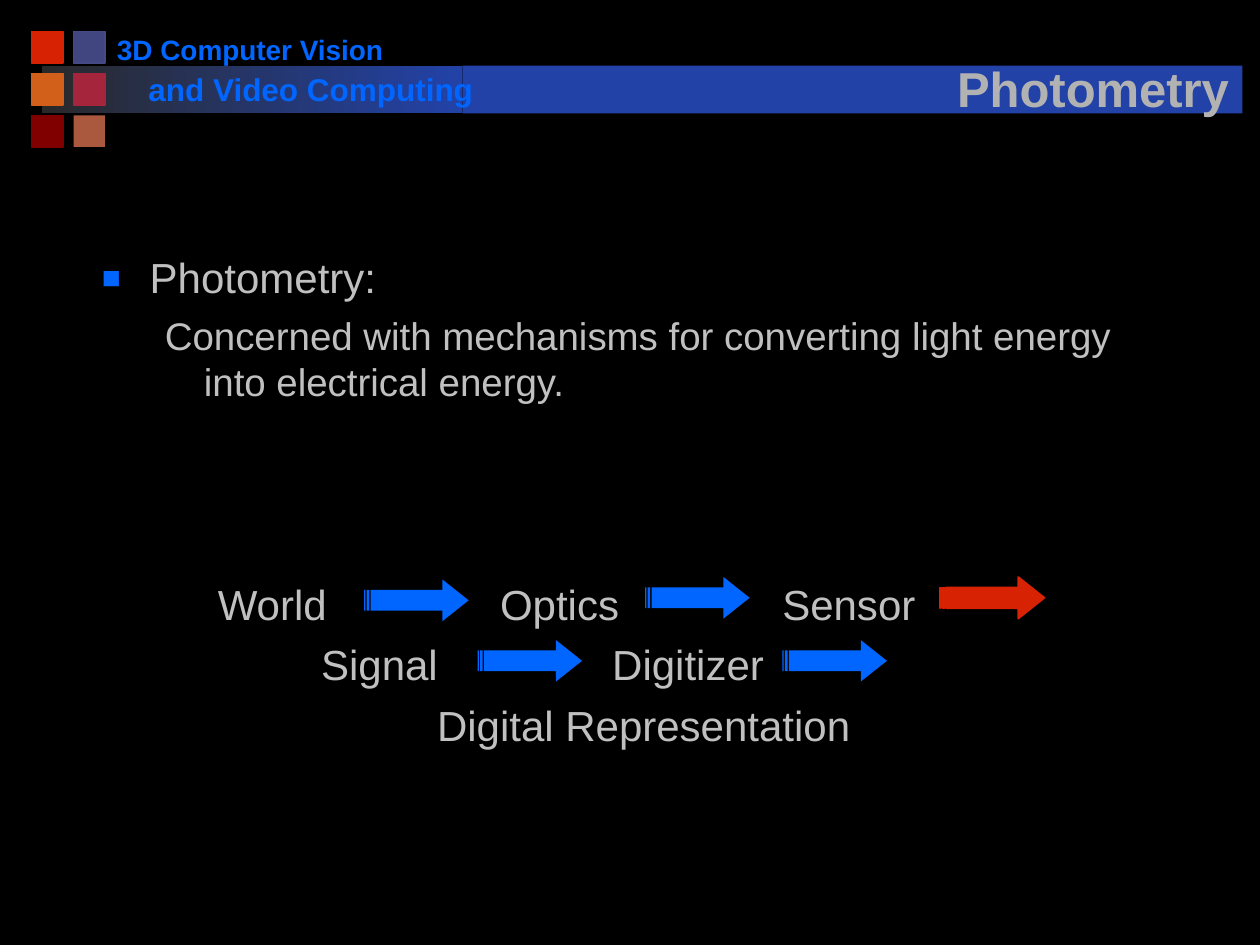
"""Build the Photometry slide: course header, definition and the imaging pipeline."""
from dataclasses import dataclass

import pptx
import pptx.dml.color
import pptx.enum.shapes
import pptx.enum.text
import pptx.oxml
import pptx.oxml.ns
import pptx.util
from pptx.dml.color import RGBColor
from pptx.util import Inches, Pt

BLACK = RGBColor(0x00, 0x00, 0x00)
CHARCOAL = RGBColor(0x29, 0x29, 0x29)
BAND_BLUE = RGBColor(0x22, 0x42, 0xA8)
BRIGHT_BLUE = RGBColor(0x00, 0x66, 0xFF)
SIGNAL_RED = RGBColor(0xD8, 0x22, 0x04)
ORANGE = RGBColor(0xD2, 0x60, 0x1A)
MAROON = RGBColor(0x80, 0x00, 0x00)
INDIGO = RGBColor(0x42, 0x46, 0x80)
INDIGO_EDGE = RGBColor(0x45, 0x4A, 0x85)
CRIMSON = RGBColor(0xA5, 0x25, 0x3D)
CLAY = RGBColor(0xAA, 0x58, 0x3E)
TITLE_GRAY = RGBColor(0xB2, 0xB2, 0xB2)
TEXT_GRAY = RGBColor(0xC0, 0xC0, 0xC0)
FONT = "Arial"
NS = pptx.oxml.ns.nsdecls("a")
PIPELINE_LEFT = 1.54
INSET = 0.1


@dataclass
class Tile:
    column: int
    row: int
    fill: RGBColor
    edge: RGBColor | None


@dataclass
class Arrow:
    left: float
    top: float
    color: RGBColor
    outlined: bool = False


@dataclass
class Stage:
    label: str
    left: float


TILES = [
    Tile(1, 0, INDIGO, INDIGO_EDGE),
    Tile(1, 1, CRIMSON, CRIMSON),
    Tile(0, 2, MAROON, MAROON),
    Tile(0, 0, SIGNAL_RED, SIGNAL_RED),
    Tile(0, 1, ORANGE, ORANGE),
    Tile(1, 2, CLAY, None),
]
STAGE_ROWS = [
    [Stage("World", 1.73), Stage("Optics", 3.97), Stage("Sensor", 6.21)],
    [Stage("Signal", 2.55), Stage("Digitizer", 4.86)],
    [Stage("Digital Representation", 3.47)],
]
ARROWS = [
    Arrow(2.89, 4.6, BRIGHT_BLUE),
    Arrow(5.12, 4.58, BRIGHT_BLUE),
    Arrow(3.79, 5.08, BRIGHT_BLUE),
    Arrow(6.21, 5.08, BRIGHT_BLUE),
    Arrow(7.46, 4.58, SIGNAL_RED, outlined=True),
]


def add_block(slide, kind, left: float, top: float, width: float, height: float,
              fill: RGBColor, edge: RGBColor | None = None):
    """Add a flat filled shape with an optional one-point outline."""
    block = slide.shapes.add_shape(kind, Inches(left), Inches(top), Inches(width), Inches(height))
    block.shadow.inherit = False
    block.fill.solid()
    block.fill.fore_color.rgb = fill
    if edge is None:
        block.line.fill.background()
    else:
        block.line.color.rgb = edge
        block.line.width = Pt(1)
    return block


def add_text(slide, left: float, top: float, width: float, height: float, text: str, wrap: bool = True):
    """Add a text box and return its text frame."""
    frame = slide.shapes.add_textbox(Inches(left), Inches(top), Inches(width), Inches(height)).text_frame
    frame.word_wrap = wrap
    frame.text = text
    return frame


def style(paragraph, size: float, color: RGBColor, bold: bool = False) -> None:
    """Format every run of a paragraph."""
    for run in paragraph.runs:
        run.font.name = FONT
        run.font.size = Pt(size)
        run.font.bold = bold
        run.font.color.rgb = color


def set_indent(paragraph, margin: float, hanging: float) -> None:
    """Give a paragraph a left margin and a hanging first line."""
    properties = paragraph._p.get_or_add_pPr()
    properties.set("marL", str(Inches(margin)))
    properties.set("indent", str(-Inches(hanging)))


def add_header(slide) -> None:
    """Draw the gradient band, the tile grid and the course name."""
    rectangle = pptx.enum.shapes.MSO_SHAPE.RECTANGLE
    fade = add_block(slide, rectangle, 0.33, 0.52, 3.34, 0.38, BAND_BLUE)
    fade.fill.gradient()
    fade.fill.gradient_angle = 0
    for stop, color, position in zip(fade.fill.gradient_stops, (CHARCOAL, BAND_BLUE), (0, 1)):
        stop.color.rgb = color
        stop.position = position
    for tile in TILES:
        add_block(slide, rectangle, 0.25 + tile.column / 3, 0.25 + tile.row / 3, 0.25, 0.25,
                  tile.fill, tile.edge)
    add_block(slide, rectangle, 3.67, 0.52, 6.19, 0.38, BAND_BLUE)
    course = add_text(slide, 0.83, 0.21, 2.32, 0.37, "3D Computer Vision", wrap=False)
    style(course.paragraphs[0], 16, BRIGHT_BLUE, bold=True)
    subtitle = add_text(slide, 1.08, 0.51, 2.83, 0.4, "and Video Computing")
    style(subtitle.paragraphs[0], 18, BRIGHT_BLUE, bold=True)


def add_title(slide) -> None:
    """Place the shadowed title over the header band."""
    title = slide.shapes.title
    title.left, title.top, title.width, title.height = map(Inches, (7.33, 0.31, 2.69, 0.67))
    title.element.getparent().append(title.element)
    title.text_frame.text = "Photometry"
    title.text_frame.vertical_anchor = pptx.enum.text.MSO_ANCHOR.BOTTOM
    heading = title.text_frame.paragraphs[0]
    heading.alignment = pptx.enum.text.PP_ALIGN.CENTER
    style(heading, 28, TITLE_GRAY, bold=True)
    shadow = pptx.oxml.parse_xml(
        f'<a:effectLst {NS}><a:outerShdw dist="35921" dir="2700000">'
        '<a:srgbClr val="000000"/></a:outerShdw></a:effectLst>')
    heading.runs[0].font._element.find(pptx.oxml.ns.qn("a:solidFill")).addnext(shadow)


def add_definition(slide) -> None:
    """Write the bulleted term and its explanation."""
    frame = add_text(slide, 0.71, 1.95, 8.58, 1.42,
                     "Photometry:\nConcerned with mechanisms for converting light energy "
                     "into electrical energy.")
    term, meaning = frame.paragraphs
    set_indent(term, 0.38, 0.38)
    for bullet in (f'<a:buClr {NS}><a:srgbClr val="{BRIGHT_BLUE}"/></a:buClr>',
                   f'<a:buSzPct {NS} val="75000"/>',
                   f'<a:buFont {NS} typeface="{FONT}"/>',
                   f'<a:buChar {NS} char="■"/>'):
        term._p.get_or_add_pPr().append(pptx.oxml.parse_xml(bullet))
    style(term, 24, TEXT_GRAY)
    set_indent(meaning, 0.81, 0.31)
    meaning.space_before = Pt(5.5)
    style(meaning, 22, TEXT_GRAY)


def add_pipeline(slide) -> None:
    """Write the stages on tab stops and draw the arrows between them."""
    rows = ["".join(f"\t{stage.label}" for stage in stages) for stages in STAGE_ROWS]
    frame = add_text(slide, PIPELINE_LEFT, 4.54, 6.92, 1.58, "\n".join(rows))
    for index, (paragraph, stages) in enumerate(zip(frame.paragraphs, STAGE_ROWS)):
        stops = "".join(f'<a:tab pos="{Inches(stage.left - PIPELINE_LEFT - INSET)}" algn="l"/>'
                        for stage in stages)
        paragraph._p.get_or_add_pPr().append(
            pptx.oxml.parse_xml(f"<a:tabLst {NS}>{stops}</a:tabLst>"))
        if index:
            paragraph.space_before = Pt(5.8)
        style(paragraph, 24, TEXT_GRAY)
    for arrow in ARROWS:
        shape = add_block(slide, pptx.enum.shapes.MSO_SHAPE.STRIPED_RIGHT_ARROW, arrow.left, arrow.top,
                          0.83, 0.33, arrow.color, arrow.color if arrow.outlined else None)
        shape.adjustments[1] = 0.63


def main() -> None:
    """Assemble and save the slide."""
    deck = pptx.Presentation()
    deck.slide_width, deck.slide_height = Inches(10), Inches(7.5)
    slide = deck.slides.add_slide(deck.slide_layouts[5])
    slide.background.fill.solid()
    slide.background.fill.fore_color.rgb = BLACK
    add_header(slide)
    add_title(slide)
    add_definition(slide)
    add_pipeline(slide)
    deck.save("out.pptx")


if __name__ == "__main__":
    main()
